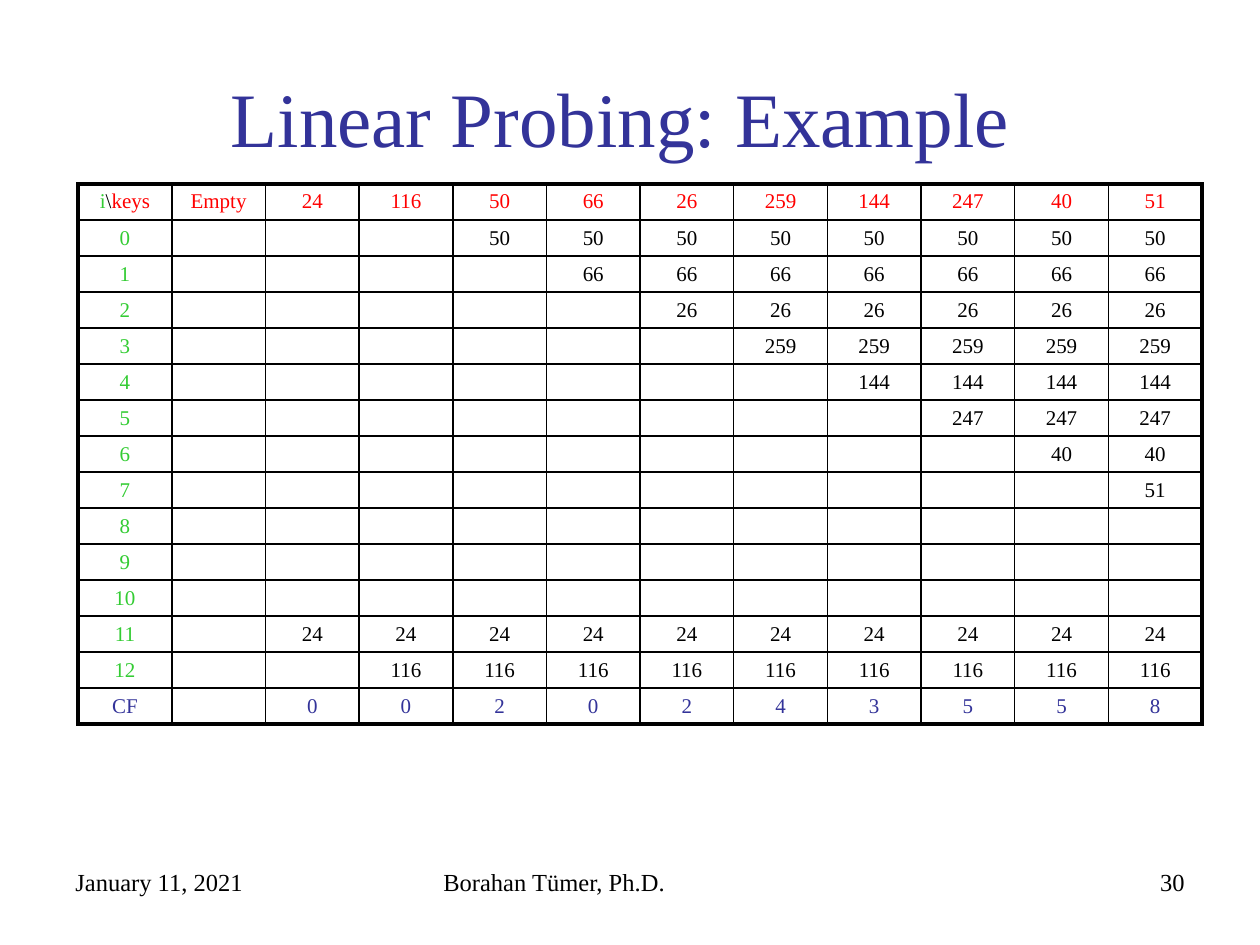
import lxml.etree
import pptx
import pptx.dml.color
import pptx.enum.text
import pptx.oxml.ns
import pptx.util

Inches, Pt = pptx.util.Inches, pptx.util.Pt
RGBColor = pptx.dml.color.RGBColor
PP_ALIGN = pptx.enum.text.PP_ALIGN
MSO_ANCHOR = pptx.enum.text.MSO_ANCHOR
qn = pptx.oxml.ns.qn

BLACK = RGBColor(0x00, 0x00, 0x00)
BLUE = RGBColor(0x33, 0x33, 0x99)
GREEN = RGBColor(0x33, 0xCC, 0x33)
RED = RGBColor(0xFF, 0x00, 0x00)
FONT = "Times New Roman"

TITLE = "Linear Probing: Example "
FOOTERS = [
    ("January 11, 2021", 0.5, 2.33, PP_ALIGN.LEFT),
    ("Borahan Tümer, Ph.D.", 3.42, 3.17, PP_ALIGN.LEFT),
    ("30", 7.17, 2.33, PP_ALIGN.RIGHT),
]
SLOTS = 13
INSERTIONS = [
    (24, 11, 0), (116, 12, 0), (50, 0, 2), (66, 1, 0), (26, 2, 2),
    (259, 3, 4), (144, 4, 3), (247, 5, 5), (40, 6, 5), (51, 7, 8),
]


def add_run(p, text, size, color):
    r = p.add_run()
    r.text = text
    r.font.name = FONT
    r.font.size = Pt(size)
    r.font.color.rgb = color


def set_border(cell, side, width):
    ln = lxml.etree.SubElement(cell._tc.get_or_add_tcPr(), qn("a:" + side), w=str(Pt(width)))
    fill = lxml.etree.SubElement(ln, qn("a:solidFill"))
    lxml.etree.SubElement(fill, qn("a:srgbClr"), val=str(BLACK))


def build_rows():
    header = [[("i", GREEN), ("\\", BLACK), ("keys", RED)], [("Empty", RED)]]
    header += [[(str(key), RED)] for key, _, _ in INSERTIONS]
    rows = [header]
    for slot in range(SLOTS):
        row = [[(str(slot), GREEN)], []]
        stored = []
        for key, target, _ in INSERTIONS:
            if target == slot:
                stored = [(str(key), BLACK)]
            row.append(stored)
        rows.append(row)
    rows.append([[("CF", BLUE)], []] + [[(str(cf), BLUE)] for _, _, cf in INSERTIONS])
    return rows


def add_probe_table(slide, rows):
    n_rows, n_cols = len(rows), len(rows[0])
    table = slide.shapes.add_table(
        n_rows, n_cols, Inches(0.62), Inches(1.46), Inches(8.92), Inches(4.29)
    ).table
    table.first_row = False
    table.horz_banding = False
    for i, row in enumerate(rows):
        for j, runs in enumerate(row):
            cell = table.cell(i, j)
            cell.margin_top = cell.margin_bottom = Inches(0.04)
            cell.vertical_anchor = MSO_ANCHOR.MIDDLE
            outer = {"lnL": j == 0, "lnR": j == n_cols - 1, "lnT": i == 0, "lnB": i == n_rows - 1}
            for side, is_outer in outer.items():
                set_border(cell, side, 2.25 if is_outer else 1)
            cell.fill.background()
            p = cell.text_frame.paragraphs[0]
            p.alignment = PP_ALIGN.CENTER
            for text, color in runs:
                add_run(p, text, 12, color)
            if not runs:
                lxml.etree.SubElement(p._p, qn("a:endParaRPr"), sz="1200")


def main():
    prs = pptx.Presentation()
    prs.slide_width, prs.slide_height = Inches(10), Inches(7.5)
    slide = prs.slides.add_slide(prs.slide_layouts[5])

    for text, left, width, align in FOOTERS:
        sp = slide.shapes.add_textbox(Inches(left), Inches(6.83), Inches(width), Inches(0.52))
        tf = sp.text_frame
        tf.word_wrap = True
        p = tf.paragraphs[0]
        p.alignment = align
        add_run(p, text, 14, BLACK)

    sp = slide.shapes.title
    sp.left, sp.top, sp.width, sp.height = Inches(0.5), Inches(0.3), Inches(9), Inches(1.25)
    tf = sp.text_frame
    tf.auto_size = pptx.enum.text.MSO_AUTO_SIZE.NONE
    tf.vertical_anchor = MSO_ANCHOR.MIDDLE
    p = tf.paragraphs[0]
    p.alignment = PP_ALIGN.CENTER
    add_run(p, TITLE, 44, BLUE)

    add_probe_table(slide, build_rows())
    prs.save("out.pptx")


if __name__ == "__main__":
    main()
